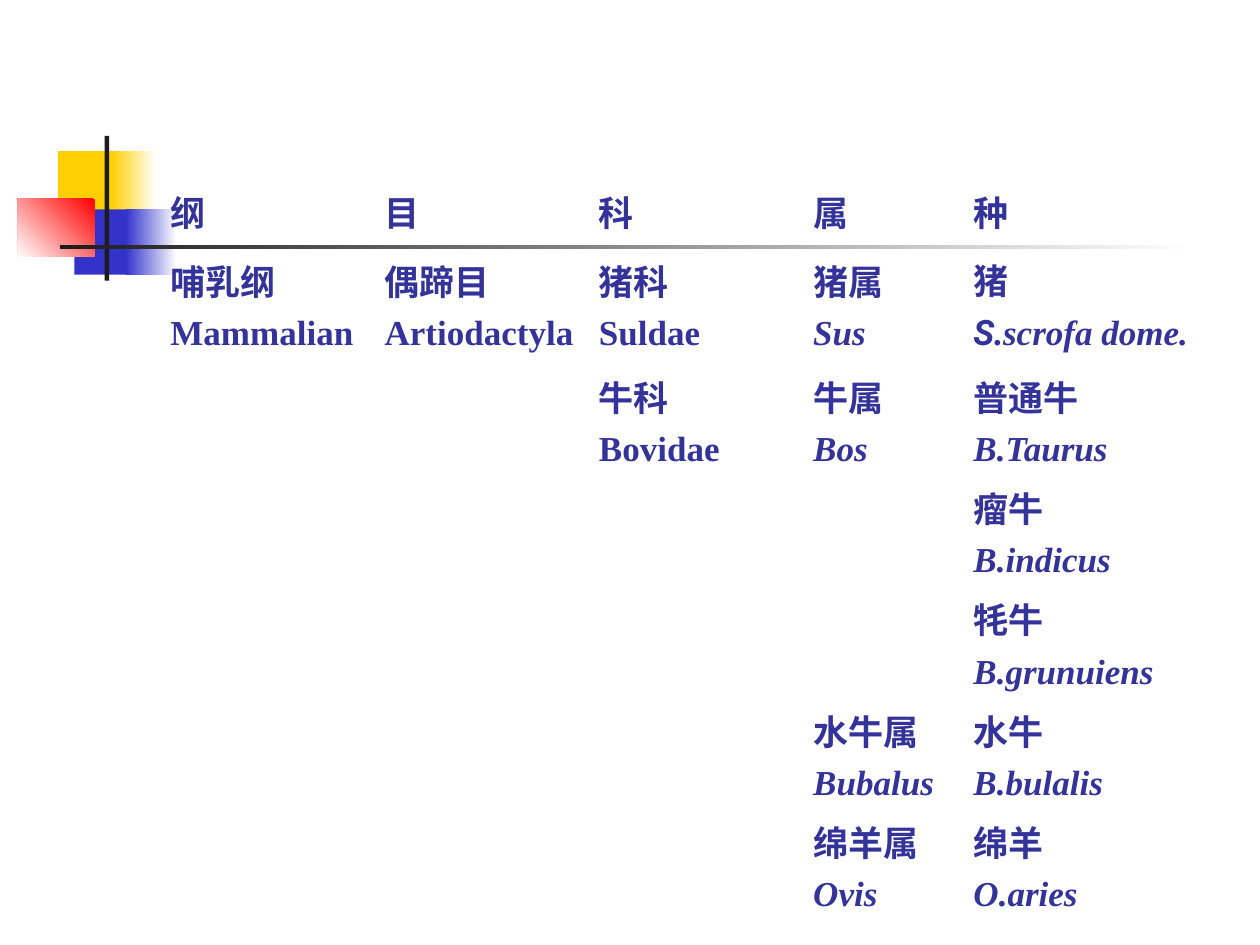
"""Build the slide with the zoological classification of pigs, cattle and sheep."""
import pptx
import pptx.dml.color
import pptx.enum.shapes
import pptx.enum.text
import pptx.util
from dataclasses import dataclass

Cm = pptx.util.Cm
Pt = pptx.util.Pt
RGB = pptx.dml.color.RGBColor.from_string


@dataclass(frozen=True)
class Theme:
    text: str = "333399"
    yellow: str = "FFCF01"
    blue: str = "3333CC"
    red: str = "FF0000"
    dark: str = "1C1C1C"
    white: str = "FFFFFF"
    chinese: str = "Roboto"
    latin: str = "Times New Roman"
    size: int = 20
    gap: int = 5
    no_grid: str = "{2D5ABB26-0587-4C30-8999-92F81FD0307C}"


THEME = Theme()

ORNAMENT = [
    ((1.17, 3.05, 1.22, 1.32), [THEME.yellow], 0),
    ((2.24, 3.05, 0.91, 1.32), [THEME.white, THEME.yellow], 180),
    ((1.5, 4.22, 1.17, 1.32), [THEME.blue], 0),
    ((2.54, 4.22, 1.02, 1.32), [THEME.white, THEME.blue], 180),
    ((0.36, 4.01, 1.55, 1.17), [THEME.red, THEME.white], 135),
    ((2.11, 2.74, 0.09, 2.92), [THEME.dark], 0),
    ((1.22, 4.94, 22.86, 0.09), [THEME.white, THEME.dark], 180),
]

COLUMNS = [4.32, 4.32, 4.32, 3.23, 5.41]
ROWS = [1.3, 2.44] + [2.24] * 5
ITALIC_COLUMNS = (3, 4)

TAXA = [
    ["纲", "目", "科", "属", "种"],
    ["哺乳纲\nMammalian", "偶蹄目\nArtiodactyla", "猪科\nSuldae", "猪属\nSus",
     "猪\nS|.scrofa dome."],
    ["", "", "牛科\nBovidae", "牛属\nBos", "普通牛\nB.Taurus"],
    ["", "", "", "", "瘤牛\nB.indicus"],
    ["", "", "", "", "牦牛\nB.grunuiens"],
    ["", "", "", "水牛属\nBubalus", "水牛\nB.bulalis"],
    ["", "", "", "绵羊属\nOvis", "绵羊\nO.aries"],
]


def set_all(obj, values):
    """Set every attribute in values on obj."""
    for name, value in values.items():
        setattr(obj, name, value)


def add_block(s, box, colors, angle):
    """Add a rectangle with a solid fill, or a gradient turned clockwise by angle."""
    sp = s.shapes.add_shape(pptx.enum.shapes.MSO_SHAPE.RECTANGLE, *map(Cm, box))
    sp.shadow.inherit = False
    sp.line.fill.background()
    if len(colors) == 1:
        sp.fill.solid()
        sp.fill.fore_color.rgb = RGB(colors[0])
        return
    sp.fill.gradient()
    sp.fill.gradient_angle = 360 - angle
    for stop, color in zip(sp.fill.gradient_stops, colors):
        stop.color.rgb = RGB(color)


def add_run(p, text, font, italic):
    """Add a bold run in the text colour."""
    r = p.add_run()
    r.text = text
    set_all(r.font, {"name": font, "size": Pt(THEME.size), "bold": True, "italic": italic})
    r.font.color.rgb = RGB(THEME.text)


def fill_cell(cell, text, italic):
    """Write the Chinese name and, below it, the Latin name."""
    cell.fill.background()
    cell.vertical_anchor = pptx.enum.text.MSO_ANCHOR.MIDDLE
    if not text:
        return
    tf = cell.text_frame
    chinese, *latin = text.split("\n")
    add_run(tf.paragraphs[0], chinese, THEME.chinese, False)
    for name in latin:
        p = tf.add_paragraph()
        p.space_before = Pt(THEME.gap)
        *initial, rest = name.split("|")
        for letter in initial:
            add_run(p, letter, THEME.chinese, italic)
        add_run(p, rest, THEME.latin, italic)


def add_taxa(s):
    """Add the classification table without grid or banding."""
    frame = s.shapes.add_table(len(ROWS), len(COLUMNS), Cm(3.18), Cm(3.61),
                               Cm(sum(COLUMNS)), Cm(sum(ROWS)))
    table = frame.table
    set_all(table, {"first_row": False, "horz_banding": False})
    style = table._tbl.tblPr.find(pptx.oxml.ns.qn("a:tableStyleId"))
    style.text = THEME.no_grid
    for column, width in zip(table.columns, COLUMNS):
        column.width = Cm(width)
    for row, height, names in zip(table.rows, ROWS, TAXA):
        row.height = Cm(height)
        for i, name in enumerate(names):
            fill_cell(row.cells[i], name, i in ITALIC_COLUMNS)


def main():
    """Build and save the slide."""
    prs = pptx.Presentation()
    set_all(prs, {"slide_width": Cm(25.4), "slide_height": Cm(19.05)})
    s = prs.slides.add_slide(prs.slide_layouts[6])
    for box, colors, angle in ORNAMENT:
        add_block(s, box, colors, angle)
    add_taxa(s)
    prs.save("out.pptx")


if __name__ == "__main__":
    main()
